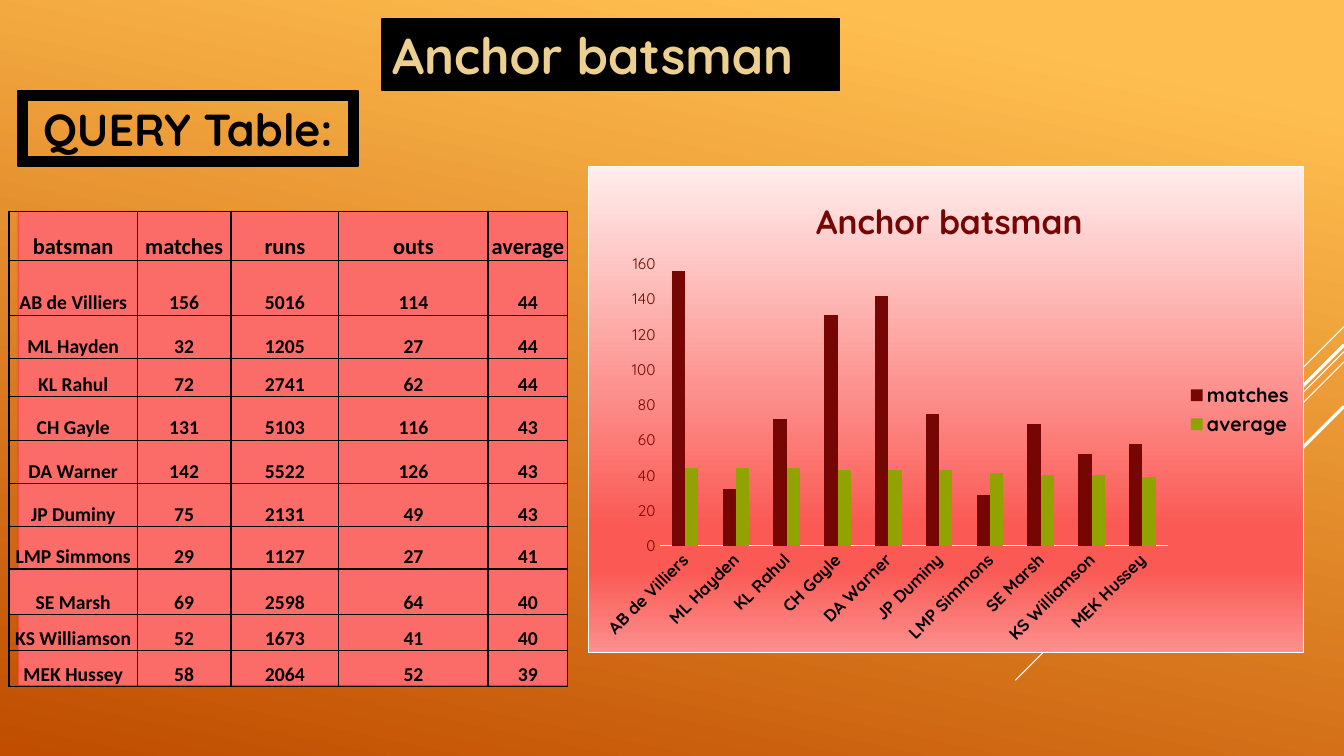
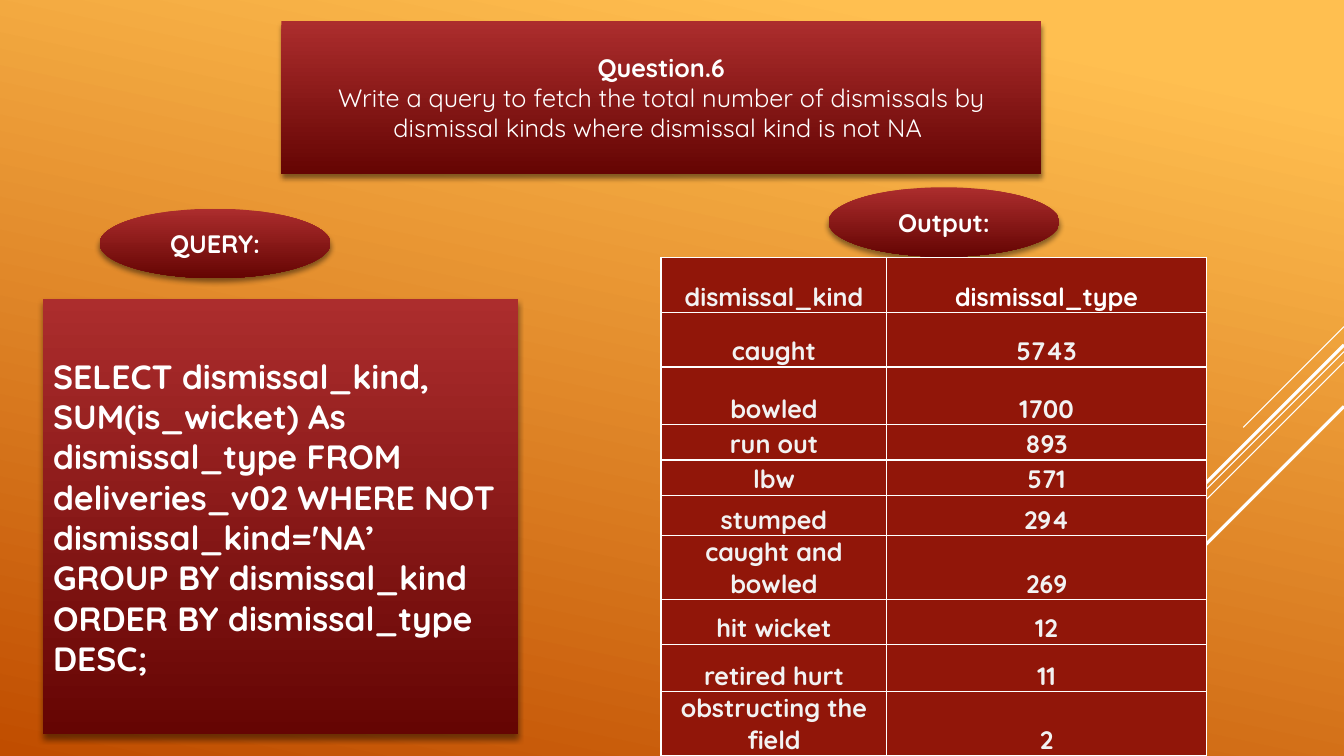
from lxml import etree
from pptx import Presentation
from pptx.chart.data import CategoryChartData
from pptx.dml.color import RGBColor
from pptx.enum.chart import XL_CHART_TYPE, XL_LEGEND_POSITION, XL_TICK_MARK
from pptx.enum.shapes import MSO_CONNECTOR, MSO_SHAPE
from pptx.enum.text import MSO_ANCHOR, PP_ALIGN
from pptx.oxml import parse_xml
from pptx.oxml.ns import nsdecls, qn
from pptx.util import Cm, Pt

RECT, ELLIPSE, FRAME = MSO_SHAPE.RECTANGLE, MSO_SHAPE.OVAL, MSO_SHAPE.FRAME
STRAIGHT = MSO_CONNECTOR.STRAIGHT
LEFT, CENTER = PP_ALIGN.LEFT, PP_ALIGN.CENTER
MIDDLE, BOTTOM = MSO_ANCHOR.MIDDLE, MSO_ANCHOR.BOTTOM
COLUMNS = XL_CHART_TYPE.COLUMN_CLUSTERED
NO_TICKS = XL_TICK_MARK.NONE
LEGEND_RIGHT = XL_LEGEND_POSITION.RIGHT

BLACK = RGBColor(0x00, 0x00, 0x00)
WHITE = RGBColor(0xFF, 0xFF, 0xFF)
OFF_WHITE = RGBColor(0xF2, 0xF2, 0xF2)
AMBER = RGBColor(0xFF, 0xBF, 0x50)
RUST = RGBColor(0xC0, 0x4D, 0x00)
SAND = RGBColor(0xED, 0xD0, 0x8F)
BRONZE = RGBColor(0x9F, 0x76, 0x1A)
CORAL = RGBColor(0xFB, 0x6B, 0x67)
SCARLET = RGBColor(0xF9, 0x21, 0x1B)
BRICK = RGBColor(0x91, 0x16, 0x09)
CRIMSON = RGBColor(0xAC, 0x2D, 0x2D)
WINE = RGBColor(0x65, 0x05, 0x03)
MAROON = RGBColor(0x76, 0x06, 0x03)
OLIVE = RGBColor(0x92, 0xA2, 0x00)
CHART_STOPS = [(0, "FFEDEC"), (74, "FB5954"), (83, "FB5954"), (100, "FC908D")]

FONT, TABLE_FONT = "Quicksand", "Calibri"
SLIDE_W, SLIDE_H = 33.87, 19.05
# Diagonal rays from the right edge: start height, run, width in points
RAYS = [(8.23, 2.54, 0.75), (8.86, 8.28, 0.75), (9.12, 5.27, 0.75),
        (8.69, 4.85, 2.25), (10.24, 3.53, 2.25)]

BATSMEN = [
    ("AB de Villiers", 156, 5016, 114, 44), ("ML Hayden", 32, 1205, 27, 44),
    ("KL Rahul", 72, 2741, 62, 44), ("CH Gayle", 131, 5103, 116, 43),
    ("DA Warner", 142, 5522, 126, 43), ("JP Duminy", 75, 2131, 49, 43),
    ("LMP Simmons", 29, 1127, 27, 41), ("SE Marsh", 69, 2598, 64, 40),
    ("KS Williamson", 52, 1673, 41, 40), ("MEK Hussey", 58, 2064, 52, 39),
]
DISMISSALS = [
    ("caught", 5743), ("bowled", 1700), ("run out", 893), ("lbw", 571),
    ("stumped", 294), ("caught and bowled", 269), ("hit wicket", 12),
    ("retired hurt", 11), ("obstructing the field", 2),
]


def set_font(font, size, color, bold=True, name=FONT):
    font.size, font.bold, font.name = Pt(size), bold, name
    font.color.rgb = color


def write(frame, text, size=18, color=WHITE, bold=True, name=FONT, align=CENTER):
    """Add one paragraph to a text frame, filling the first one if it is empty."""
    paragraph = frame.paragraphs[0]
    if paragraph.runs:
        paragraph = frame.add_paragraph()
    paragraph.alignment = align
    run = paragraph.add_run()
    run.text = text
    set_font(run.font, size, color, bold, name)
    return run


def set_gradient(fill, start, end, angle=90, first=0):
    fill.gradient()
    fill.gradient_angle = 360 - angle
    for stop, color, position in zip(fill.gradient_stops, (start, end), (first, 1)):
        stop.color.rgb, stop.position = color, position


def add_block(slide, kind, box, fill=None, line=None, line_width=1.25):
    block = slide.shapes.add_shape(kind, *map(Cm, box))
    block.shadow.inherit = False
    if fill is not None:
        block.fill.solid()
        block.fill.fore_color.rgb = fill
    if line is None:
        block.line.fill.background()
    else:
        block.line.color.rgb = line
        block.line.width = Pt(line_width)
    block.text_frame.word_wrap = True
    block.text_frame.vertical_anchor = MIDDLE
    return block


def add_red_panel(slide, kind, box):
    """Shaded red shape with a soft shadow; returns its text frame."""
    panel = add_block(slide, kind, box)
    set_gradient(panel.fill, CRIMSON, WINE)
    panel.element.spPr.find(qn("a:effectLst")).append(parse_xml(
        f'<a:outerShdw {nsdecls("a")} blurRad="{Pt(4)}" dist="{Pt(3)}" dir="5400000"'
        ' rotWithShape="0"><a:srgbClr val="000000"><a:alpha val="46000"/></a:srgbClr>'
        '</a:outerShdw>'))
    return panel.text_frame


def add_rays(slide):
    for top, run, width in RAYS:
        ray = slide.shapes.add_connector(
            STRAIGHT, Cm(SLIDE_W), Cm(top), Cm(SLIDE_W - run), Cm(top + run))
        ray.line.color.rgb = WHITE
        ray.line.width = Pt(width)
        etree.SubElement(ray.element.spPr, qn("a:effectLst"))


def set_borders(cell, color, widths):
    properties = cell._tc.get_or_add_tcPr()
    for index, (side, width) in enumerate(widths.items()):
        properties.insert(index, parse_xml(
            f'<a:ln{side} {nsdecls("a")} w="{Pt(width)}"><a:solidFill>'
            f'<a:srgbClr val="{color}"/></a:solidFill></a:ln{side}>'))


def add_grid(slide, corner, widths, heights, rows, color, border, fill=None,
             outer=1, name=FONT, head_size=18, size=18):
    """Table whose frame and last divider take the outer line width."""
    table = slide.shapes.add_table(
        len(rows), len(widths), *map(Cm, corner),
        Cm(sum(widths)), Cm(sum(heights))).table
    table.first_row = table.horz_banding = False
    for column, width in zip(table.columns, widths):
        column.width = Cm(width)
    last_row, last_col = len(rows) - 1, len(widths) - 1
    for r, (values, height) in enumerate(zip(rows, heights)):
        table.rows[r].height = Cm(height)
        for c, value in enumerate(values):
            cell = table.cell(r, c)
            cell.vertical_anchor = BOTTOM
            cell.margin_left = cell.margin_right = cell.margin_top = Cm(0.02)
            cell.margin_bottom = 0
            if fill is None:
                cell.fill.background()
            else:
                cell.fill.solid()
                cell.fill.fore_color.rgb = fill
            set_borders(cell, border, {
                "L": outer if c in (0, last_col) else 1,
                "R": outer if c == last_col - 1 else 1,
                "T": outer if r == 0 else 1,
                "B": outer if r == last_row else 1})
            write(cell.text_frame, str(value), color=color, name=name,
                  size=size if r else head_size)
    return table


def set_layout(parent, index, target="", **fractions):
    """Place a chart part by fractions of the chart area."""
    for old in parent.findall(qn("c:layout")):
        parent.remove(old)
    inner = f'<c:layoutTarget val="{target}"/>' if target else ""
    modes = '<c:xMode val="edge"/><c:yMode val="edge"/>'
    values = "".join(f'<c:{key} val="{value}"/>' for key, value in fractions.items())
    parent.insert(index, parse_xml(
        f'<c:layout {nsdecls("c")}><c:manualLayout>{inner}{modes}{values}'
        '</c:manualLayout></c:layout>'))


def add_batsman_chart(slide, box):
    data = CategoryChartData()
    data.categories = [row[0] for row in BATSMEN]
    data.add_series("matches", [row[1] for row in BATSMEN])
    data.add_series("average", [row[4] for row in BATSMEN])
    chart = slide.shapes.add_chart(COLUMNS, *map(Cm, box), data).chart
    set_font(chart.font, 11, WHITE)

    # Title and legend
    write(chart.chart_title.text_frame, "Anchor batsman", 24, MAROON)
    chart.has_legend = True
    chart.legend.position = LEGEND_RIGHT
    chart.legend.include_in_layout = False
    set_font(chart.legend.font, 14, BLACK)

    # Columns
    plot = chart.plots[0]
    plot.gap_width, plot.overlap, plot.vary_by_categories = 182, 0, False
    for series, color in zip(plot.series, (MAROON, OLIVE)):
        series.format.fill.solid()
        series.format.fill.fore_color.rgb = color

    # Axes
    names, scale = chart.category_axis, chart.value_axis
    for axis in (names, scale):
        axis.major_tick_mark = axis.minor_tick_mark = NO_TICKS
        axis.has_major_gridlines = False
    names.format.line.color.rgb = WHITE
    names.format.line.width = Pt(0.75)
    set_font(names.tick_labels.font, 12, BLACK)
    scale.format.line.fill.background()
    scale.minimum_scale, scale.maximum_scale, scale.major_unit = 0, 160, 20
    set_font(scale.tick_labels.font, 11, MAROON, bold=False)
    space = chart.element
    labels = space.find(f'.//{qn("c:catAx")}/{qn("c:txPr")}/{qn("a:bodyPr")}')
    labels.set("rot", "-2700000")
    labels.set("vert", "horz")

    # Placement and shaded chart area
    set_layout(space.find(f'.//{qn("c:title")}'), 1, x=0.31, y=0.05)
    set_layout(space.find(f'.//{qn("c:plotArea")}'), 0, "inner",
               x=0.1, y=0.2, w=0.71, h=0.58)
    stops = "".join(f'<a:gs pos="{position * 1000}"><a:srgbClr val="{color}"/></a:gs>'
                    for position, color in CHART_STOPS)
    space.find(qn("c:chart")).addnext(parse_xml(
        f'<c:spPr {nsdecls("c", "a")}><a:gradFill><a:gsLst>{stops}</a:gsLst>'
        f'<a:lin ang="5400000" scaled="0"/></a:gradFill><a:ln w="{Pt(0.75)}">'
        f'<a:solidFill><a:srgbClr val="{WHITE}"/></a:solidFill></a:ln></c:spPr>'))


def build_batsman_slide(slide):
    add_rays(slide)

    # Title with outlined letters
    title = add_block(slide, RECT, (9.63, 0.48, 11.53, 1.8), BLACK, BLACK)
    heading = write(title.text_frame, "Anchor batsman", 36, SAND, align=LEFT)
    heading.font._element.insert(0, parse_xml(
        f'<a:ln {nsdecls("a")} w="{Pt(1.75)}"><a:solidFill>'
        f'<a:srgbClr val="{BRONZE}"/></a:solidFill></a:ln>'))

    # Query table on a coral backing
    backing = add_block(slide, RECT, (0.46, 5.33, 13.84, 11.94), CORAL, SCARLET, 0.75)
    edge = backing.element.spPr.find(f'{qn("a:ln")}//{qn("a:srgbClr")}')
    etree.SubElement(edge, qn("a:alpha"), val="60000")
    label = add_block(slide, FRAME, (0.46, 2.29, 8.56, 1.9), BLACK, BLACK)
    write(label.text_frame, "QUERY Table:", 32, BLACK)
    header = ("batsman", "matches", "runs", "outs", "average")
    table = add_grid(
        slide, (0.23, 5.33), (3.23, 2.36, 2.72, 3.76, 2.01),
        (1.24, 1.37, 1.09, 0.97, 1.09, 1.09, 1.09, 1.07, 1.14, 0.91, 0.91),
        [header, *BATSMEN], BLACK, BLACK, outer=1.5, name=TABLE_FONT,
        head_size=16, size=14)
    marsh = table.cell(8, 0)
    marsh.fill.solid()
    marsh.fill.fore_color.rgb = CORAL

    add_batsman_chart(slide, (14.81, 4.19, 18.06, 12.27))


def build_question_slide(slide):
    add_rays(slide)

    # Question
    question = add_red_panel(slide, RECT, (7.09, 0.53, 19.15, 3.86))
    write(question, "Question.6")
    write(question, "Write a query to fetch the total number of dismissals by "
          "dismissal kinds where dismissal kind is not NA ", bold=False)

    # Labels
    for text, left, top in (("QUERY:", 2.51, 5.26), ("Output:", 20.88, 4.72)):
        write(add_red_panel(slide, ELLIPSE, (left, top, 5.82, 1.75)), text)

    # Query
    query = add_red_panel(slide, RECT, (1.09, 7.54, 11.96, 10.97))
    for text in ("SELECT dismissal_kind,",
                 "SUM(is_wicket) As dismissal_type FROM deliveries_v02 "
                 "WHERE NOT dismissal_kind='NA’",
                 "GROUP BY dismissal_kind ORDER BY dismissal_type DESC;"):
        write(query, text, 24, align=LEFT)

    # Output
    table = add_grid(
        slide, (16.66, 6.48), (5.69, 8.05),
        (1.4, 1.37, 1.45, 0.89, 0.89, 1.02, 1.6, 1.12, 1.19, 1.6),
        [("dismissal_kind", "dismissal_type"), *DISMISSALS], OFF_WHITE, WHITE, BRICK)
    table.cell(0, 1).text_frame.paragraphs[0].runs[0].font.color.rgb = WHITE


def main():
    deck = Presentation()
    deck.slide_width, deck.slide_height = Cm(SLIDE_W), Cm(SLIDE_H)
    set_gradient(deck.slide_master.background.fill, AMBER, RUST, angle=102, first=0.1)
    for build in (build_batsman_slide, build_question_slide):
        build(deck.slides.add_slide(deck.slide_layouts[6]))
    deck.save("out.pptx")


if __name__ == "__main__":
    main()
